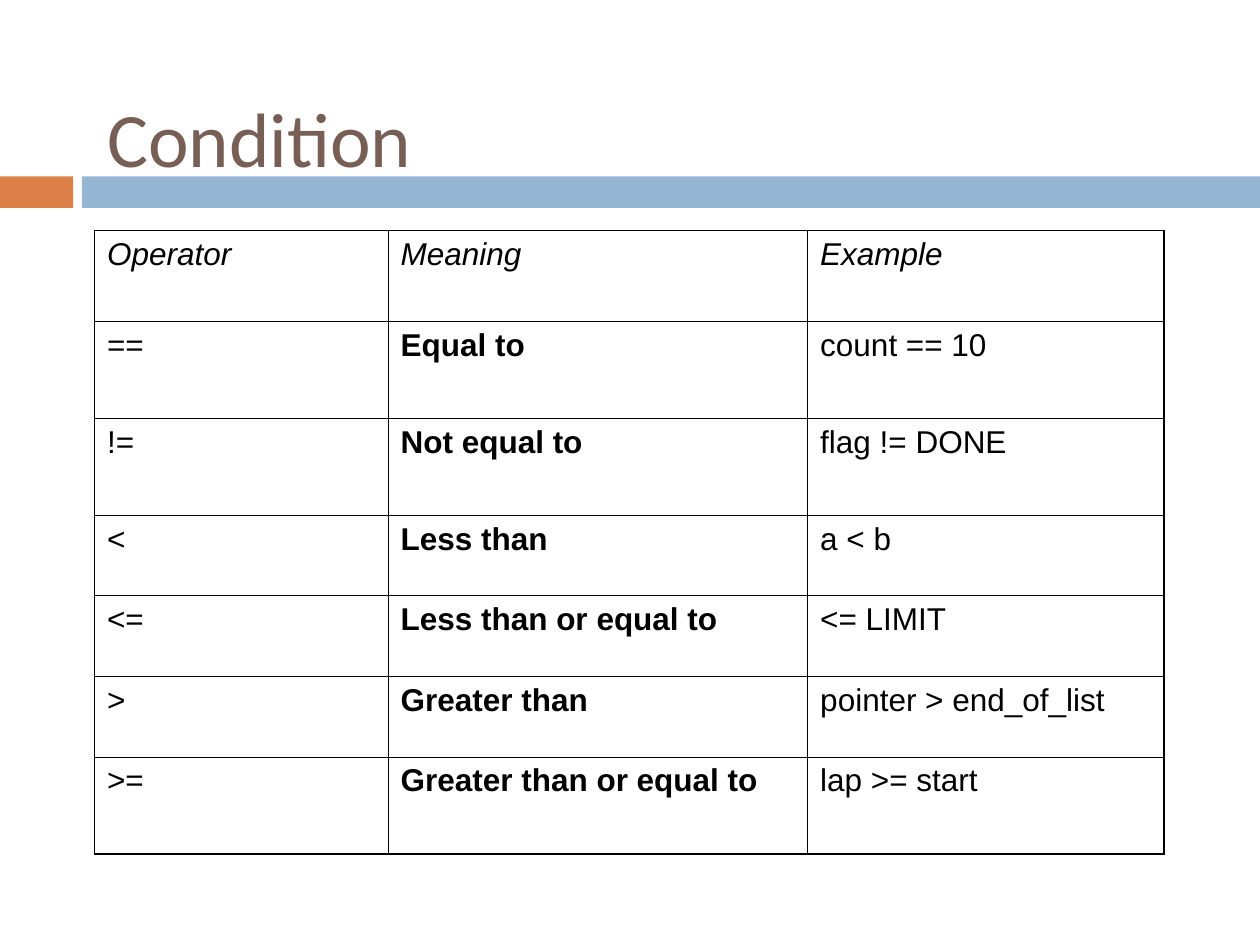
from typing import NamedTuple

from lxml import etree
from pptx import Presentation
from pptx.dml.color import RGBColor
from pptx.enum.shapes import MSO_SHAPE
from pptx.enum.text import MSO_ANCHOR, PP_ALIGN
from pptx.oxml.ns import qn
from pptx.util import Inches, Pt

RECTANGLE = MSO_SHAPE.RECTANGLE
MIDDLE = MSO_ANCHOR.MIDDLE
LEFT = PP_ALIGN.LEFT

ORANGE = RGBColor(0xDD, 0x80, 0x47)
BLUE = RGBColor(0x94, 0xB6, 0xD2)
BROWN = RGBColor(0x77, 0x5F, 0x55)
BLACK = RGBColor(0, 0, 0)

TITLE_ONLY = 5
OUTER_BORDER = Pt(1.08)
INNER_BORDER = Pt(0.45)


class Bar(NamedTuple):
    left: float
    width: float
    color: RGBColor


class Condition(NamedTuple):
    operator: str
    meaning: str
    example: str
    height: float


BARS = [Bar(0, 0.58, ORANGE), Bar(0.65, 9.35, BLUE)]
COLUMN_WIDTHS = [2.33, 3.33, 2.83]
CONDITIONS = [
    Condition("Operator", "Meaning", "Example", 0.72),
    Condition("==", "Equal to", "count == 10", 0.77),
    Condition("!=", "Not equal to", "flag != DONE", 0.77),
    Condition("<", "Less than", "a < b", 0.64),
    Condition("<=", "Less than or equal to", "<= LIMIT", 0.64),
    Condition(">", "Greater than", "pointer > end_of_list", 0.64),
    Condition(">=", "Greater than or equal to", "lap >= start", 0.77),
]


def add_bar(slide, bar: Bar) -> None:
    shape = slide.shapes.add_shape(
        RECTANGLE, Inches(bar.left), Inches(1.4), Inches(bar.width), Inches(0.25)
    )
    shape.shadow.inherit = False
    shape.fill.solid()
    shape.fill.fore_color.rgb = bar.color
    shape.line.fill.background()


def add_text(paragraph, text: str, font_name: str, size: float, color: RGBColor):
    paragraph.alignment = LEFT
    run = paragraph.add_run()
    run.text = text
    run.font.name = font_name
    run.font.size = Pt(size)
    run.font.color.rgb = color
    return run


def set_title(slide, text: str) -> None:
    title = slide.shapes.title
    title.left, title.top = Inches(0.75), Inches(0.67)
    title.width, title.height = Inches(8.5), Inches(0.83)
    title.text_frame.vertical_anchor = MIDDLE
    add_text(title.text_frame.paragraphs[0], text, "Calibri", 44, BROWN)


def set_borders(cell, row: int, column: int) -> None:
    """Draw thick lines on the table's edge and thin lines inside it."""
    on_edge = {
        "a:lnL": column == 0,
        "a:lnR": column == len(COLUMN_WIDTHS) - 1,
        "a:lnT": row == 0,
        "a:lnB": row == len(CONDITIONS) - 1,
    }
    properties = cell._tc.get_or_add_tcPr()
    for tag, outer in on_edge.items():
        width = OUTER_BORDER if outer else INNER_BORDER
        line = etree.SubElement(properties, qn(tag), w=str(int(width)))
        fill = etree.SubElement(line, qn("a:solidFill"))
        etree.SubElement(fill, qn("a:srgbClr"), val=str(BLACK))


def add_condition_table(slide) -> None:
    table = slide.shapes.add_table(
        len(CONDITIONS), len(COLUMN_WIDTHS),
        Inches(0.75), Inches(1.83),
        Inches(sum(COLUMN_WIDTHS)), Inches(sum(c.height for c in CONDITIONS)),
    ).table
    table.first_row = False
    table.horz_banding = False
    for column, width in zip(table.columns, COLUMN_WIDTHS):
        column.width = Inches(width)
    for row, condition in enumerate(CONDITIONS):
        table.rows[row].height = Inches(condition.height)
        texts = (condition.operator, condition.meaning, condition.example)
        for column, text in enumerate(texts):
            cell = table.cell(row, column)
            set_borders(cell, row, column)
            cell.fill.background()
            run = add_text(cell.text_frame.paragraphs[0], text, "Arial", 18, BLACK)
            run.font.italic = row == 0
            run.font.bold = row > 0 and column == 1


def main() -> None:
    presentation = Presentation()
    presentation.slide_width = Inches(10)
    presentation.slide_height = Inches(7.5)
    slide = presentation.slides.add_slide(presentation.slide_layouts[TITLE_ONLY])
    for bar in BARS:
        add_bar(slide, bar)
    set_title(slide, "Condition")
    add_condition_table(slide)
    presentation.save("out.pptx")


if __name__ == "__main__":
    main()
